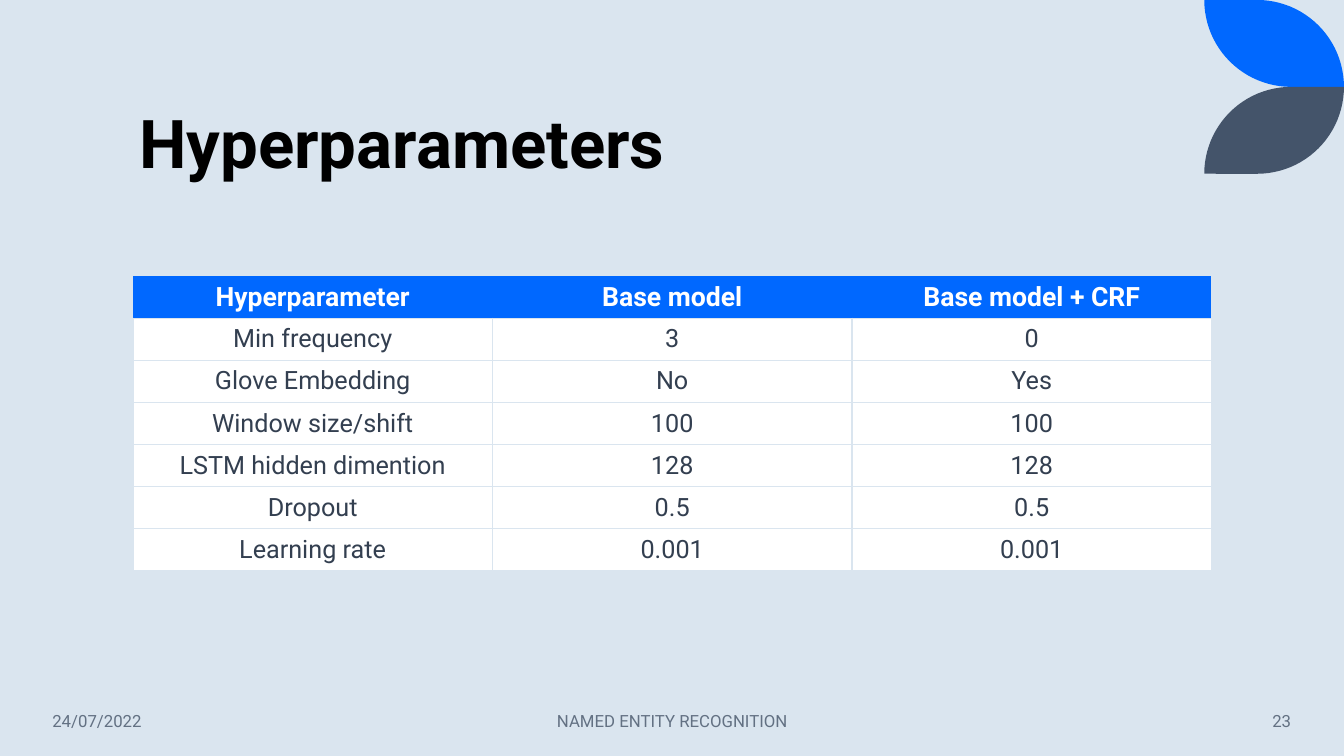
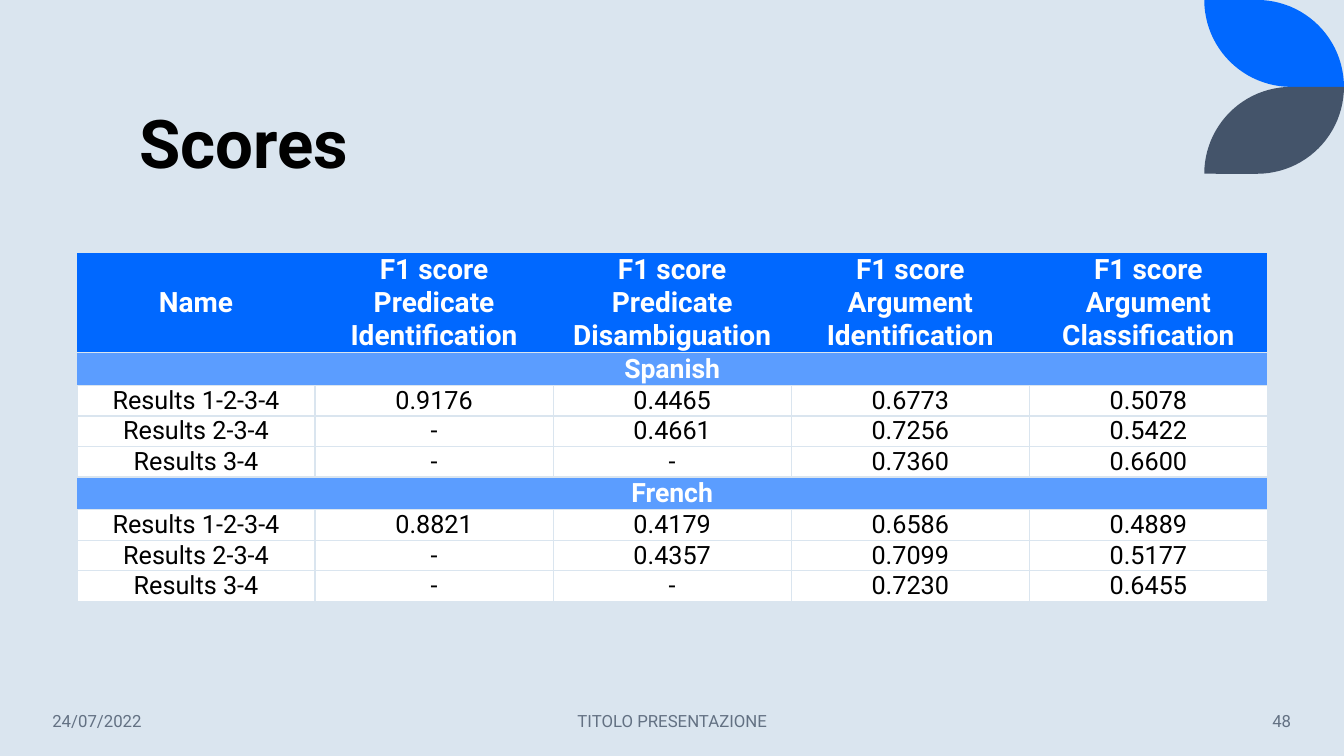
from dataclasses import dataclass
from math import cos, pi, sin

from lxml.etree import SubElement
from pptx import Presentation
from pptx.dml.color import RGBColor as Rgb
from pptx.enum.text import MSO_ANCHOR as Anchor, MSO_AUTO_SIZE as AutoSize, PP_ALIGN as Align
from pptx.oxml.ns import qn
from pptx.presentation import Presentation as Deck
from pptx.slide import Slide
from pptx.table import _Cell as Cell
from pptx.text.text import TextFrame
from pptx.util import Cm, Pt


@dataclass(frozen=True)
class Theme:
    font: str = "Roboto"
    background: str = "DAE5EF"
    accent: str = "0068FF"
    accent_light: str = "5B9DFF"
    slate: str = "44546A"
    body: str = "333F50"
    footer: str = "637183"
    black: str = "000000"
    white: str = "FFFFFF"
    title_size: int = 48
    section_size: int = 19
    body_size: int = 18
    footer_size: int = 12


THEME = Theme()
SLIDE_WIDTH, SLIDE_HEIGHT = 33.87, 19.05
LEAF_WIDTH, LEAF_HEIGHT = 3.52, 2.19


@dataclass(frozen=True)
class RowStyle:
    height: float
    fill: str
    color: str
    size: int
    bold: bool = False
    borders: str = "LRTB"


@dataclass(frozen=True)
class TableSpec:
    """A row with a single text is a section band across all columns."""
    left: float
    top: float
    column_width: float
    rows: tuple[tuple[str, ...], ...]
    header: RowStyle
    data: RowStyle
    section: RowStyle | None = None
    insets: tuple[float, float] = (0.25, 0.13)

    def style_of(self, index: int) -> RowStyle:
        if index == 0:
            return self.header
        if self.section and len(self.rows[index]) == 1:
            return self.section
        return self.data


@dataclass(frozen=True)
class Page:
    title: str
    table: TableSpec
    footer: str
    number: int


@dataclass(frozen=True)
class FooterBox:
    left: float
    width: float
    align: Align


FOOTER_BOXES = (
    FooterBox(1.07, 4.72, Align.LEFT),
    FooterBox(11.23, 11.43, Align.CENTER),
    FooterBox(28.19, 4.6, Align.RIGHT),
)

PAGES = (
    Page(
        "Hyperparameters",
        TableSpec(
            left=3.35, top=6.96, column_width=9.06,
            rows=(
                ("Hyperparameter", "Base model", "Base model + CRF"),
                ("Min frequency", "3", "0"),
                ("Glove Embedding", "No", "Yes"),
                ("Window size/shift", "100", "100"),
                ("LSTM hidden dimention", "128", "128"),
                ("Dropout", "0.5", "0.5"),
                ("Learning rate", "0.001", "0.001"),
            ),
            header=RowStyle(1.06, THEME.accent, THEME.white, 19, True, "B"),
            data=RowStyle(1.06, THEME.white, THEME.body, THEME.body_size),
        ),
        "NAMED ENTITY RECOGNITION", 23,
    ),
    Page(
        "Scores",
        TableSpec(
            left=1.94, top=6.38, column_width=6,
            rows=(
                ("Name", "F1 score Predicate Identification",
                 "F1 score Predicate Disambiguation",
                 "F1 score Argument Identification",
                 "F1 score Argument Classification"),
                ("Spanish",),
                ("Results 1-2-3-4", "0.9176", "0.4465", "0.6773", "0.5078"),
                ("Results 2-3-4", "-", "0.4661", "0.7256", "0.5422"),
                ("Results 3-4", "-", "-", "0.7360", "0.6600"),
                ("French",),
                ("Results 1-2-3-4", "0.8821", "0.4179", "0.6586", "0.4889"),
                ("Results 2-3-4", "-", "0.4357", "0.7099", "0.5177"),
                ("Results 3-4", "-", "-", "0.7230", "0.6455"),
            ),
            header=RowStyle(2.5, THEME.accent, THEME.white, 20, True, "B"),
            section=RowStyle(0.82, THEME.accent_light, THEME.white,
                             THEME.section_size, True, "TB"),
            data=RowStyle(0.77, THEME.white, THEME.black, THEME.body_size),
            insets=(0.1, 0.01),
        ),
        "TITOLO PRESENTAZIONE", 48,
    ),
)


def write(frame: TextFrame, text: str, *, size: int, color: str, bold: bool = False,
          align: Align = Align.LEFT, spacing: float = 1.0) -> None:
    para = frame.paragraphs[0]
    para.alignment = align
    para.line_spacing = spacing
    span = para.add_run()
    span.text = text
    span.font.name = THEME.font
    span.font.size = Pt(size)
    span.font.bold = bold
    span.font.color.rgb = Rgb.from_string(color)


def add_leaf(page: Slide, top: float, color: str, flipped: bool = False) -> None:
    """Draw a leaf bounded by two quarter circles at the right edge of the page."""
    left, steps = SLIDE_WIDTH - LEAF_WIDTH, 24
    angles = [pi / 2 * step / steps for step in range(steps + 1)]
    upper = [(LEAF_WIDTH - LEAF_HEIGHT * (1 - sin(a)), LEAF_HEIGHT * (1 - cos(a)))
             for a in angles]
    lower = [(LEAF_WIDTH - x, LEAF_HEIGHT - y) for x, y in upper]
    points = [(Cm(left + x), Cm(top + (LEAF_HEIGHT - y if flipped else y)))
              for x, y in upper + lower]
    outline = page.shapes.build_freeform(*points[0])
    outline.add_line_segments(points[1:], close=True)
    leaf = outline.convert_to_shape()
    leaf.shadow.inherit = False
    leaf.fill.solid()
    leaf.fill.fore_color.rgb = Rgb.from_string(color)
    leaf.line.fill.background()


def set_borders(cell: Cell, sides: str) -> None:
    """Line the given sides and clear the others; borders must precede the fill."""
    properties = cell._tc.get_or_add_tcPr()
    for index, side in enumerate("LRTB"):
        line = SubElement(properties, qn(f"a:ln{side}"), w=str(Pt(1)))
        if side in sides:
            fill = SubElement(line, qn("a:solidFill"))
            SubElement(fill, qn("a:srgbClr"), val=THEME.background)
        else:
            SubElement(line, qn("a:noFill"))
        properties.insert(index, line)


def format_cell(cell: Cell, style: RowStyle, insets: tuple[float, float]) -> None:
    cell.margin_left = cell.margin_right = Cm(insets[0])
    cell.margin_top = cell.margin_bottom = Cm(insets[1])
    cell.vertical_anchor = Anchor.MIDDLE
    cell.fill.solid()
    cell.fill.fore_color.rgb = Rgb.from_string(style.fill)
    set_borders(cell, style.borders)


def add_data_table(page: Slide, spec: TableSpec) -> None:
    columns = len(spec.rows[0])
    styles = [spec.style_of(index) for index in range(len(spec.rows))]
    table = page.shapes.add_table(
        len(spec.rows), columns, Cm(spec.left), Cm(spec.top),
        Cm(spec.column_width * columns), Cm(sum(style.height for style in styles))).table
    table.horz_banding = False
    for column in table.columns:
        column.width = Cm(spec.column_width)
    for index, (texts, style) in enumerate(zip(spec.rows, styles)):
        row = table.rows[index]
        row.height = Cm(style.height)
        for cell in row.cells:
            format_cell(cell, style, spec.insets)
        if len(texts) == 1:
            table.cell(index, 0).merge(table.cell(index, columns - 1))
        for cell, text in zip(row.cells, texts):
            write(cell.text_frame, text, size=style.size, color=style.color,
                  bold=style.bold, align=Align.CENTER)


def set_title(page: Slide, text: str) -> None:
    title = page.shapes.title
    title.left, title.top, title.width, title.height = Cm(3.25), Cm(1.07), Cm(27.15), Cm(3.68)
    frame = title.text_frame
    frame.auto_size = AutoSize.NONE
    frame.vertical_anchor = Anchor.BOTTOM
    write(frame, text, size=THEME.title_size, color=THEME.black, bold=True, spacing=0.9)


def add_footer(page: Slide, texts: tuple[str, str, str]) -> None:
    for spot, text in zip(FOOTER_BOXES, texts):
        box = page.shapes.add_textbox(Cm(spot.left), Cm(17.65), Cm(spot.width), Cm(1.02))
        frame = box.text_frame
        frame.word_wrap = True
        frame.vertical_anchor = Anchor.MIDDLE
        write(frame, text, size=THEME.footer_size, color=THEME.footer, align=spot.align)


def add_page(deck: Deck, content: Page) -> None:
    page = deck.slides.add_slide(deck.slide_layouts.get_by_name("Title Only"))
    add_leaf(page, 0, THEME.accent)
    add_leaf(page, LEAF_HEIGHT, THEME.slate, flipped=True)
    set_title(page, content.title)
    add_data_table(page, content.table)
    add_footer(page, ("24/07/2022", content.footer, str(content.number)))


def main() -> None:
    deck = Presentation()
    deck.slide_width, deck.slide_height = Cm(SLIDE_WIDTH), Cm(SLIDE_HEIGHT)
    background = deck.slide_master.background.fill
    background.solid()
    background.fore_color.rgb = Rgb.from_string(THEME.background)
    for content in PAGES:
        add_page(deck, content)
    deck.save("out.pptx")


if __name__ == "__main__":
    main()
